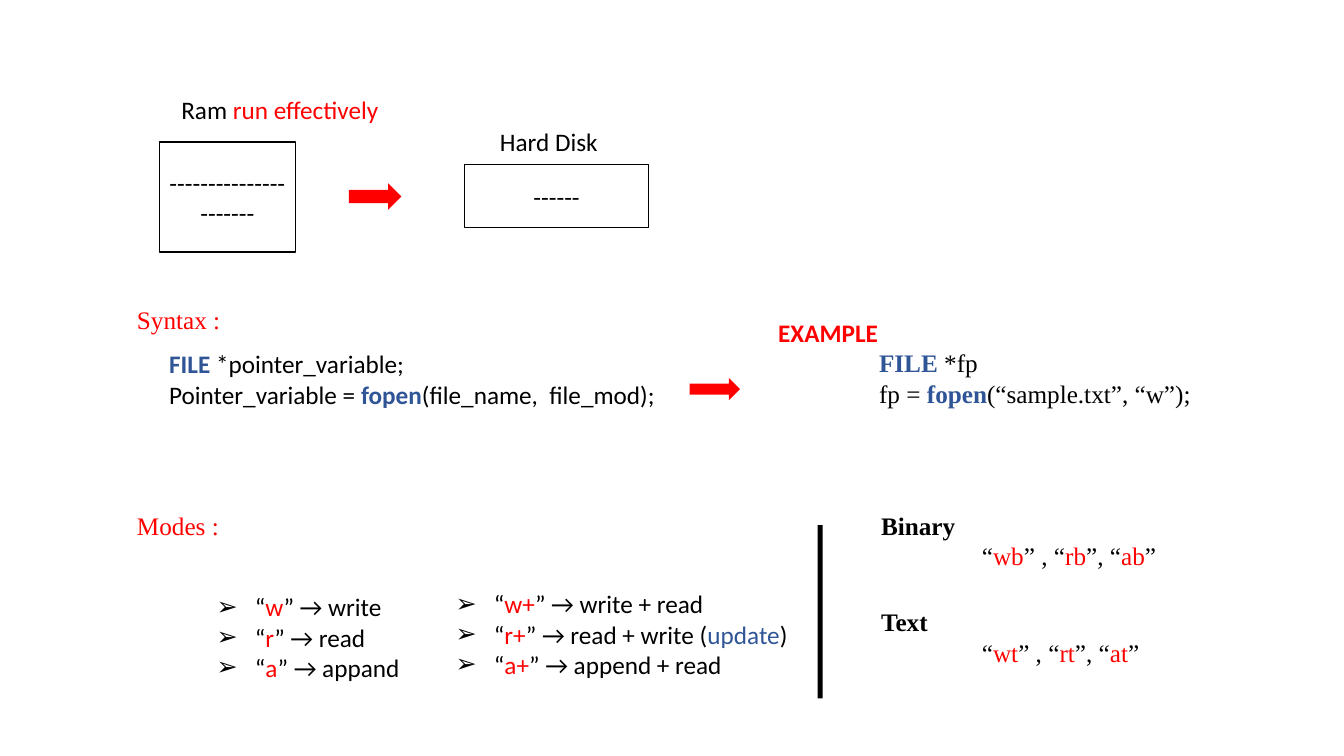
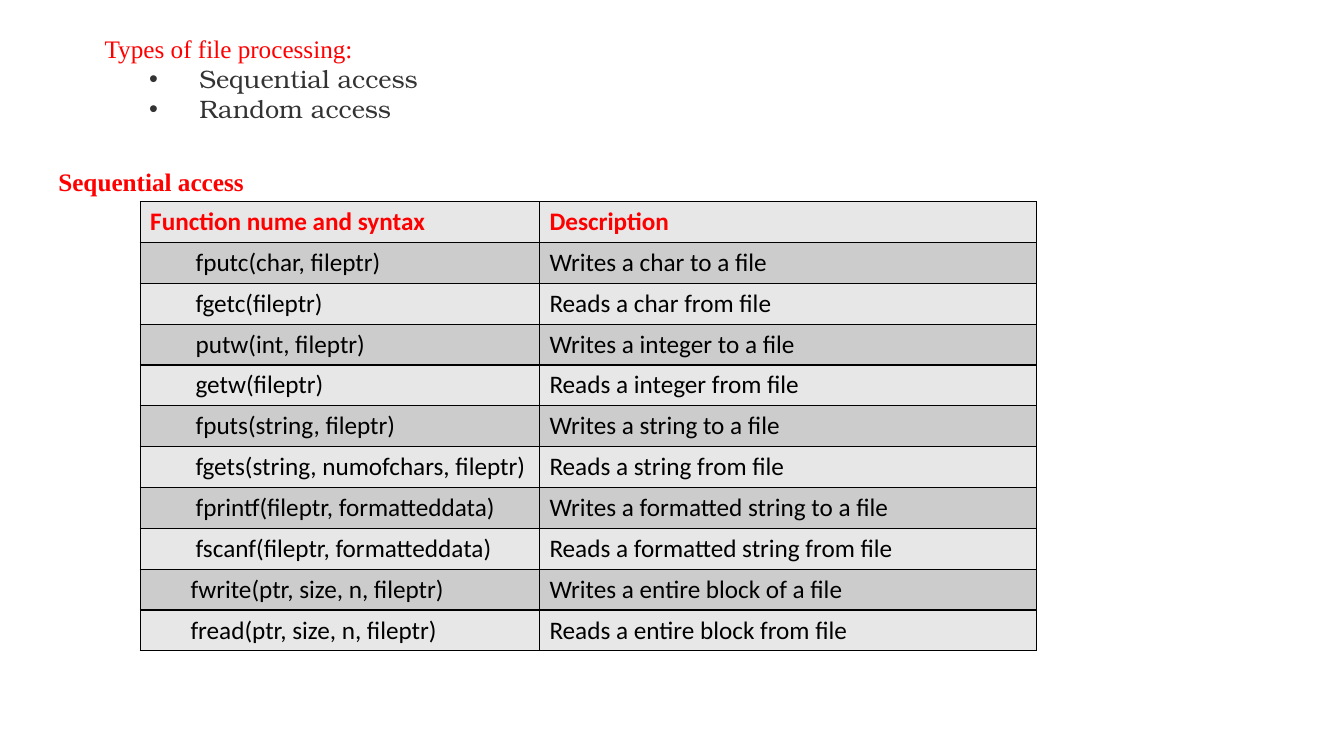
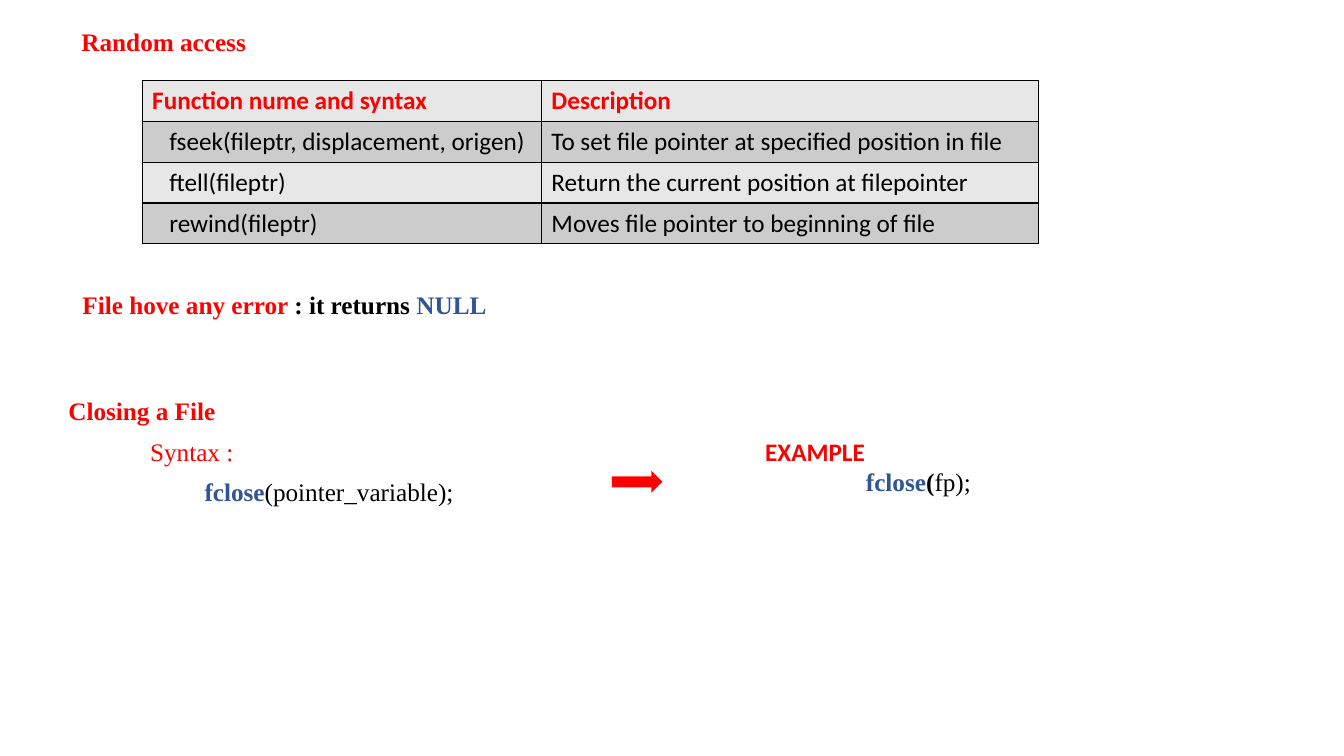
from dataclasses import dataclass

from lxml import etree
from pptx import Presentation
from pptx import util as u
from pptx.dml.color import RGBColor
from pptx.enum import shapes, text
from pptx.oxml.ns import qn

PX = 9144  # EMU, so 100 px make an inch
SANS, SERIF, BOOK = "Calibri", "Times New Roman", "TeX Gyre Bonum"
BLACK, RED, BLUE, GREY, WHITE = "000000", "FF0000", "2F5597", "333333", "FFFFFF"
ROW_FILLS = "E7E7E7", "CCCCCC"
LINE_WIDTH = u.Pt(1)


def px(value):
    return u.Emu(value * PX)


def rgb(value):
    return RGBColor.from_string(value)


def apply(target, values):
    for name, value in values.items():
        setattr(target, name, value)


@dataclass
class Run:
    text: str
    colour: str = BLACK
    bold: bool = False


class Line:
    """One paragraph: its runs, font, indent and bullet."""

    def __init__(self, *runs, font=SANS, indent=0, hanging=0, bullet=None):
        self.runs = [Run(run) if isinstance(run, str) else run for run in runs]
        self.font, self.indent, self.hanging, self.bullet = font, indent, hanging, bullet


class Deck:
    def __init__(self):
        self.presentation = Presentation()
        apply(self.presentation, {"slide_width": px(1333), "slide_height": px(750)})
        self.slide = None

    def new_slide(self):
        self.slide = self.presentation.slides.add_slide(self.presentation.slide_layouts[6])

    def set_lines(self, frame, lines, align=text.PP_ALIGN.LEFT):
        for index, line in enumerate(lines):
            paragraph = frame.add_paragraph() if index else frame.paragraphs[0]
            paragraph.alignment = align
            properties = paragraph._p.get_or_add_pPr()
            if line.indent:
                properties.set("marL", str(px(line.indent)))
                properties.set("indent", str(px(-line.hanging)))
            if line.bullet:
                etree.SubElement(properties, qn("a:buFont")).set("typeface", "Arial")
                etree.SubElement(properties, qn("a:buChar")).set("char", line.bullet)
            for part in line.runs:
                run = paragraph.add_run()
                run.text = part.text
                apply(run.font, {"name": line.font, "size": u.Pt(18), "bold": part.bold})
                run.font.color.rgb = rgb(part.colour)

    def text_box(self, x, y, width, *lines):
        height = 10 + 30 * len(lines)
        frame = self.slide.shapes.add_textbox(*map(px, (x, y, width, height))).text_frame
        apply(frame, {"word_wrap": True, "auto_size": text.MSO_AUTO_SIZE.SHAPE_TO_FIT_TEXT})
        self.set_lines(frame, lines)

    def heading(self, x, y, width, label, bold=True):
        self.text_box(x, y, width, Line(Run(label, RED, bold), font=SERIF))

    def shape(self, kind, x, y, width, height, fill):
        shape = self.slide.shapes.add_shape(kind, *map(px, (x, y, width, height)))
        shape.shadow.inherit = False
        shape.fill.solid()
        shape.fill.fore_color.rgb = rgb(fill)
        shape.line.fill.background()
        return shape

    def arrow(self, x, y, width=50, height=22):
        self.shape(shapes.MSO_SHAPE.RIGHT_ARROW, x, y, width, height, RED)

    def bar(self, x, y, width, height):
        self.shape(shapes.MSO_SHAPE.RECTANGLE, x, y, width, height, BLACK)

    def framed_box(self, x, y, width, height, label):
        shape = self.shape(shapes.MSO_SHAPE.RECTANGLE, x, y, width, height, WHITE)
        shape.line.color.rgb = rgb(BLACK)
        shape.line.width = LINE_WIDTH
        apply(shape.text_frame, {"word_wrap": True, "vertical_anchor": text.MSO_ANCHOR.MIDDLE})
        self.set_lines(shape.text_frame, [Line(label)], text.PP_ALIGN.CENTER)

    def cell_borders(self, cell):
        properties = cell._tc.get_or_add_tcPr()
        for side in ("a:lnL", "a:lnR", "a:lnT", "a:lnB"):
            border = etree.SubElement(properties, qn(side), w=str(LINE_WIDTH))
            fill = etree.SubElement(border, qn("a:solidFill"))
            etree.SubElement(fill, qn("a:srgbClr")).set("val", BLACK)

    def function_table(self, x, y, height, functions):
        """Table of (indent, syntax, description) rows below a red header."""
        rows = [(0, "Function nume and syntax", "Description"), *functions]
        widths = (396, 493)
        table = self.slide.shapes.add_table(
            len(rows), 2, *map(px, (x, y, sum(widths), height))).table
        apply(table, {"first_row": False, "horz_banding": False})
        for column, width in zip(table.columns, widths):
            column.width = px(width)
        for row, (indent, *labels) in enumerate(rows):
            for column, label in enumerate(labels):
                cell = table.cell(row, column)
                self.cell_borders(cell)
                cell.fill.solid()
                cell.fill.fore_color.rgb = rgb(ROW_FILLS[row % 2])
                if column == 0:
                    cell.margin_left = px(10 + indent)
                run = Run(label) if row else Run(label, RED, True)
                self.set_lines(cell.text_frame, [Line(run)])

    def example(self, x, y, *code):
        self.text_box(x, y, 541, Line(Run("EXAMPLE", RED, True)),
                      *(Line(*runs, font=SERIF, indent=100) for runs in code))


def mode_line(mode, *meaning):
    return Line("“", Run(mode, RED), "” → ", *meaning, indent=38, hanging=38, bullet="➢")


def opening_slide(deck):
    deck.new_slide()
    deck.framed_box(158, 141, 135, 109, "-" * 22)
    deck.framed_box(461, 163, 182, 63, "-" * 6)
    deck.text_box(170, 89, 300, Line("Ram ", Run("run effectively", RED)))
    deck.text_box(486, 120, 131, Line("Hard Disk"))
    deck.arrow(346, 182, 52, 26)

    deck.heading(126, 297, 182, "Syntax :", bold=False)
    deck.text_box(158, 341, 763,
                  Line(Run("FILE", BLUE, True), " *pointer_variable;"),
                  Line("Pointer_variable = ", Run("fopen", BLUE, True),
                       "(file_name,  file_mod);"))
    deck.example(762, 310,
                 [Run("FILE ", BLUE, True), "*fp"],
                 ["fp = ", Run("fopen", BLUE, True), "(“sample.txt”, “w”);"])
    deck.arrow(684, 375)

    deck.heading(126, 501, 155, "Modes :", bold=False)
    deck.text_box(205, 582, 401, mode_line("w", "write"), mode_line("r", "read"),
                  mode_line("a", "appand"))
    deck.text_box(442, 579, 401, mode_line("w+", "write + read"),
                  mode_line("r+", "read + write (", Run("update", BLUE), ")"),
                  mode_line("a+", "append + read"))
    for y, kind, suffix in ((501, "Binary", "b"), (597, "Text", "t")):
        write_mode, read_mode, append_mode = (Run(mode + suffix, RED) for mode in "wra")
        deck.text_box(864, y, 337, Line(Run(kind, BLACK, True), font=SERIF),
                      Line("“", write_mode, "” , “", read_mode, "”, “", append_mode, "”",
                           font=SERIF, indent=100))
    deck.bar(811, 521, 5, 172)


def sequential_slide(deck):
    deck.new_slide()
    access_kinds = (Line(Run(f"{kind} access", GREY), font=BOOK, indent=100, hanging=50, bullet="•")
                    for kind in ("Sequential", "Random"))
    deck.text_box(88, 28, 517,
                  Line(Run("Types of file processing:", RED), font=SERIF, indent=6),
                  *access_kinds)
    deck.heading(48, 160, 281, "Sequential access")
    deck.function_table(139, 200, 446, [
        (45, "fputc(char, fileptr)", "Writes a char to a file"),
        (45, "fgetc(fileptr)", "Reads a char from file"),
        (45, "putw(int, fileptr)", "Writes a integer to a file"),
        (45, "getw(fileptr)", "Reads a integer from file"),
        (45, "fputs(string, fileptr)", "Writes a string to a file"),
        (45, "fgets(string, numofchars, fileptr)", "Reads a string from file"),
        (45, "fprintf(fileptr, formatteddata)", "Writes a formatted string to a file"),
        (45, "fscanf(fileptr, formatteddata)", "Reads a formatted string from file"),
        (40, "fwrite(ptr, size, n, fileptr)", "Writes a entire block of a file"),
        (40, "fread(ptr, size, n, fileptr)", "Reads a entire block from file"),
    ])


def random_slide(deck):
    deck.new_slide()
    deck.heading(71, 21, 273, "Random access")
    deck.function_table(141, 80, 162, [
        (17, "fseek(fileptr, displacement, origen)",
         "To set file pointer at specified position in file"),
        (17, "ftell(fileptr)", "Return the current position at filepointer"),
        (17, "rewind(fileptr)", "Moves file pointer to beginning of file"),
    ])
    deck.text_box(72, 282, 497, Line(
        Run("File hove any error ", RED, True), Run(": it returns ", BLACK, True),
        Run("NULL", BLUE, True), font=SERIF))

    deck.heading(58, 387, 274, "Closing a File")
    deck.heading(139, 428, 182, "Syntax :", bold=False)
    deck.text_box(193, 468, 758,
                  Line(Run("fclose", BLUE, True), "(pointer_variable);", font=SERIF))
    deck.example(749, 428, [Run("fclose", BLUE, True), Run("(", BLACK, True), "fp);"])
    deck.arrow(607, 467)


def main():
    deck = Deck()
    opening_slide(deck)
    sequential_slide(deck)
    random_slide(deck)
    deck.presentation.save("out.pptx")


if __name__ == "__main__":
    main()
